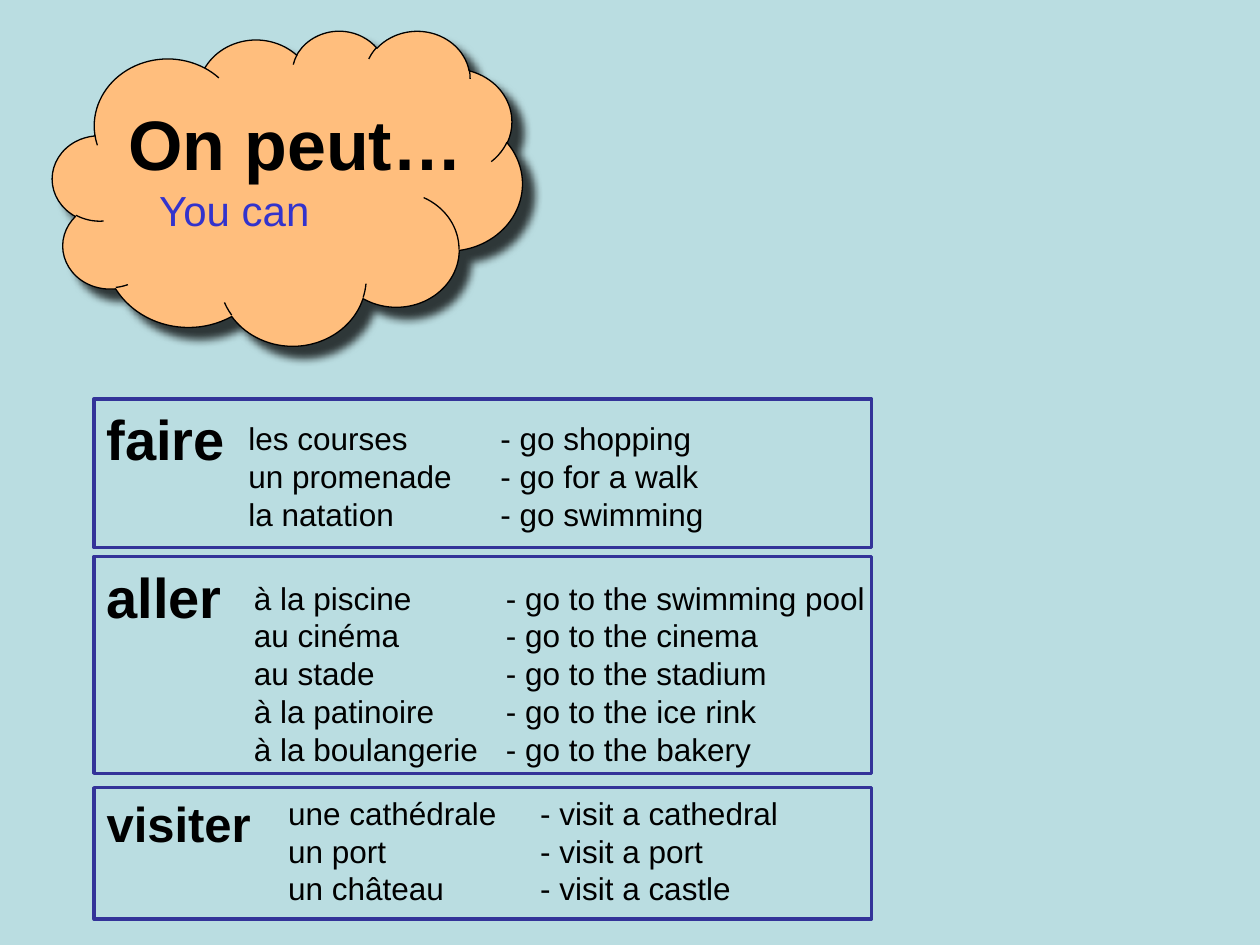
from lxml import etree
from pptx import Presentation
from pptx.dml.color import RGBColor
from pptx.enum import shapes, text
from pptx.oxml import ns
from pptx.util import Cm, Pt


def rgb(code):
    return RGBColor.from_string(code)


def write(sp, content, size, color="000000", bold=False, tab=None):
    """Fill a shape with left-aligned text, one paragraph per line."""
    tf = sp.text_frame
    tf.word_wrap = True
    tf.auto_size = text.MSO_AUTO_SIZE.NONE
    tf.vertical_anchor = text.MSO_ANCHOR.TOP
    tf.text = content
    for p in tf.paragraphs:
        p.alignment = text.PP_ALIGN.LEFT
        p.line_spacing = 1.0
        if tab:
            tabs = etree.SubElement(p._p.get_or_add_pPr(), ns.qn("a:tabLst"))
            etree.SubElement(tabs, ns.qn("a:tab"), pos=str(tab), algn="l")
        for r in p.runs:
            r.font.name = "Arial"
            r.font.size = Pt(size)
            r.font.bold = bold
            r.font.color.rgb = rgb(color)


prs = Presentation()
prs.slide_width, prs.slide_height = Cm(25.4), Cm(19.05)
slide = prs.slides.add_slide(prs.slide_layouts[5])
slide.background.fill.solid()
slide.background.fill.fore_color.rgb = rgb("BADDE1")

# Cloud with a soft shadow
cloud = slide.shapes.add_shape(
    shapes.MSO_SHAPE.CLOUD, Cm(1.06), Cm(0.61), Cm(9.47), Cm(6.35))
cloud.fill.solid()
cloud.fill.fore_color.rgb = rgb("FFBE7D")
cloud.line.color.rgb = rgb("000000")
cloud.line.width = Pt(0.75)
effects = etree.SubElement(cloud._element.spPr, ns.qn("a:effectLst"))
shadow = etree.SubElement(
    effects, ns.qn("a:outerShdw"), blurRad=str(Pt(5)), dist=str(Pt(8.5)),
    dir="2700000", algn="ctr", rotWithShape="0")
shade = etree.SubElement(shadow, ns.qn("a:srgbClr"), val="000000")
etree.SubElement(shade, ns.qn("a:alpha"), val="75000")

# Title, brought in front of the cloud, and its translation
title = slide.shapes.title
title.left, title.top, title.width, title.height = Cm(2.33), Cm(1.9), Cm(8.26), Cm(1.96)
cloud._element.addnext(title._element)
write(title, "On peut…", 40, bold=True)
translation = slide.shapes.add_textbox(Cm(2.96), Cm(3.6), Cm(5), Cm(1.27))
write(translation, "You can", 24, color="3333CC")

# verb, size, frame top and height, then list left, top, width, height and lines
groups = [
    ("visiter", 28, 15.88, 2.65, 5.56, 15.88, 12.7, 2.57, [
        "une cathédrale\t- visit a cathedral",
        "un port\t- visit a port",
        "un château\t- visit a castle"]),
    ("aller", 32, 11.22, 4.37, 4.87, 11.54, 14.61, 4.11, [
        "à la piscine\t- go to the swimming pool",
        "au cinéma\t- go to the cinema",
        "au stade\t- go to the stadium",
        "à la patinoire\t- go to the ice rink",
        "à la boulangerie\t- go to the bakery"]),
    ("faire", 32, 8.04, 3, 4.76, 8.33, 11.86, 2.57, [
        "les courses\t- go shopping",
        "un promenade\t- go for a walk",
        "la natation\t- go swimming"]),
]
for verb, size, frame_top, frame_height, left, top, width, height, lines in groups:
    frame = slide.shapes.add_shape(
        shapes.MSO_SHAPE.RECTANGLE, Cm(1.9), Cm(frame_top), Cm(15.67), Cm(frame_height))
    frame.shadow.inherit = False
    frame.fill.background()
    frame.line.color.rgb = rgb("333399")
    frame.line.width = Pt(2)
    write(frame, verb, size, bold=True)
    phrases = slide.shapes.add_textbox(Cm(left), Cm(top), Cm(width), Cm(height))
    write(phrases, "\n".join(lines), 18, tab=Cm(5.08))

prs.save("out.pptx")
